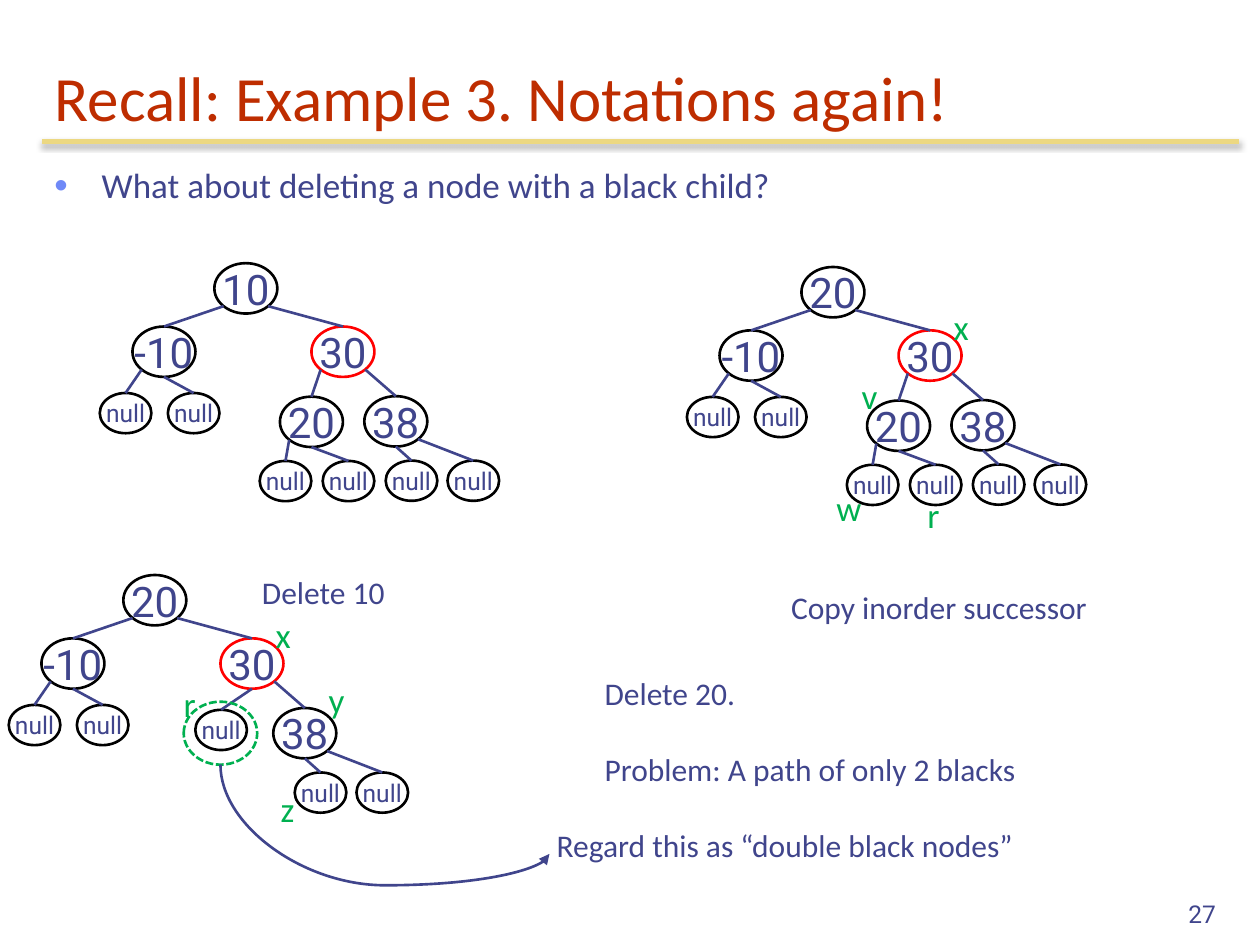
from math import sqrt
from lxml.etree import SubElement as Sub
from pptx import Presentation
from pptx.dml.color import RGBColor
from pptx.enum.dml import MSO_LINE as Dash
from pptx.enum.shapes import MSO_CONNECTOR as Link, MSO_SHAPE as Kind
from pptx.enum.text import MSO_ANCHOR as Anchor, MSO_AUTO_SIZE as Fit, PP_ALIGN as Align
from pptx.oxml.ns import qn
from pptx.util import Pt

INK, GREEN, RED, BLACK = "40458C", "00B050", "FF0000", "000000"
BIG, SMALL = (36, 28.8), (29.5, 23)

LEFT = {
    "low": ("-10", 18.7, 36.2, BLACK),
    "a": ("null", 0, 74.2, BLACK),
    "b": ("null", 38.9, 74.2, BLACK),
}
RIGHT = {
    "high": ("30", 121, 36.2, RED),
    "last": ("38", 151.2, 76, BLACK),
    "e": ("null", 163.4, 112.8, BLACK),
    "f": ("null", 198.7, 112.8, BLACK),
}
FULL = LEFT | RIGHT | {
    "mid": ("20", 103, 76.3, BLACK),
    "c": ("null", 91.4, 113, BLACK),
    "d": ("null", 127.4, 113, BLACK),
}
SHORT = LEFT | RIGHT | {"mid": ("null", 106.6, 77, BLACK)}
EDGES = [
    ("root", "low", -1), ("root", "high", 1),
    ("low", "a", -1), ("low", "b", 0),
    ("high", "mid", -1), ("high", "last", 1),
    ("mid", "c", -1), ("mid", "d", 0),
    ("last", "e", 0), ("last", "f", 1),
]


def paint(text):
    """Turn a hex string into a colour."""
    return RGBColor.from_string(text)


def put(item, **vals):
    """Set attributes from a dict of values."""
    for name, val in vals.items():
        setattr(item, name, val)


def style(font, size, face="Calibri", hue=INK):
    """Format a font."""
    put(font, size=Pt(size), name=face)
    font.color.rgb = paint(hue)


def trace(line, hue, wide=1.5):
    """Format an outline."""
    line.color.rgb = paint(hue)
    line.width = Pt(wide)


def label(shapes, box, lines, size=18, face="Calibri", hue=INK, wrap=False,
          anchor=Anchor.TOP, align=Align.LEFT, gap=0):
    """Place a text box, one paragraph a line, and return its frame."""
    frame = shapes.add_textbox(*map(Pt, box)).text_frame
    put(frame, text="\n".join(lines), word_wrap=wrap, vertical_anchor=anchor,
        auto_size=Fit.NONE if wrap else Fit.SHAPE_TO_FIT_TEXT)
    for num, para in enumerate(frame.paragraphs):
        put(para, alignment=align, space_before=Pt(gap if num else 0))
        for run in para.runs:
            style(run.font, size, face, hue)
    return frame


def oval(shapes, box, hue):
    """Place an unfilled ellipse."""
    ring = shapes.add_shape(Kind.OVAL, *map(Pt, box))
    ring.shadow.inherit = False
    ring.fill.background()
    trace(ring.line, hue)
    return ring


def join(shapes, start, end, hue=INK, wide=1.5, kind=Link.STRAIGHT):
    """Place a connector and return it with its effect list."""
    link = shapes.add_connector(kind, *map(Pt, (*start, *end)))
    trace(link.line, hue, wide)
    return link, Sub(link._element.spPr, qn("a:effectLst"))


def tree(slide, left, top, root, nodes, tags=()):
    """Draw a search tree with its edges and letter tags."""
    shapes = slide.shapes.add_group_shape().shapes
    nodes = {"root": (root, 65.5, 0, BLACK)} | nodes
    boxes = {}
    for key, (text, x, y, hue) in nodes.items():
        leaf = text == "null"
        boxes[key] = (left + x, top + y, *(SMALL if leaf else BIG))
        ring = oval(shapes, boxes[key], hue)
        put(ring.text_frame, text=text, word_wrap=False, vertical_anchor=Anchor.MIDDLE)
        para = ring.text_frame.paragraphs[0]
        para.alignment = Align.CENTER
        style(para.runs[0].font, 14 if leaf else 24, "Roboto")
    for head, child, side in EDGES:
        if child not in boxes:
            continue
        if nodes[head][0] == "null":
            continue
        side = 0 if nodes[child][0] == "null" and child == "mid" else side
        x, y, wide, high = boxes[head]
        drop = 1 / sqrt(2) if side else 1
        start = (x + wide / 2 * (1 + side * drop), y + high / 2 * (1 + drop))
        x, y, wide, high = boxes[child]
        join(shapes, start, (x + wide / 2, y))
    for text, x, y in tags:
        label(shapes, (left + x, top + y, 23, 31.5), [text], 20, hue=GREEN)


def header(slide, left, top, wide, high):
    """Fill the title and draw the shaded rule below it."""
    title = slide.shapes.title
    put(title, left=Pt(left), top=Pt(top), width=Pt(wide), height=Pt(high))
    put(title.text_frame, text="Recall: Example 3. Notations again!",
        vertical_anchor=Anchor.BOTTOM, word_wrap=True, auto_size=Fit.NONE)
    para = title.text_frame.paragraphs[0]
    para.alignment = Align.LEFT
    style(para.runs[0].font, 36, hue="BE2D00")
    base = top + high + 0.7
    rule, fx = join(slide.shapes, (left, base), (left + wide, base), "ECD882", 3)
    shade = Sub(fx, qn("a:outerShdw"), blurRad=str(Pt(3.1)), dist=str(Pt(1.8)),
                dir="5400000", rotWithShape="0")
    tone = Sub(shade, qn("a:srgbClr"), val=BLACK)
    Sub(tone, qn("a:alpha"), val="35000")


def bullet(slide, box, text):
    """Place the bulleted question."""
    para = label(slide.shapes, box, [text], 20, wrap=True).paragraphs[0]
    para.space_before = Pt(4)
    props = para._p.get_or_add_pPr()
    put_xml = {"marL": str(Pt(27)), "indent": str(-Pt(27))}
    for name, val in put_xml.items():
        props.set(name, val)
    Sub(Sub(props, qn("a:buClr")), qn("a:srgbClr"), val="6F89F7")
    Sub(props, qn("a:buSzPct"), val="110000")
    Sub(props, qn("a:buFont"), typeface="Arial")
    Sub(props, qn("a:buChar"), char="•")


def callout(slide, left, top):
    """Ring the double black node and lead a curve to its remark."""
    ring = oval(slide.shapes, (left, top, 42, 36), GREEN)
    ring.line.dash_style = Dash.SQUARE_DOT
    x, y = left + 21, top + 36
    run, drop = 188, 51
    mid, half = x + run / 2, y + drop / 2
    curve, _ = join(slide.shapes, (mid - drop / 2, half - run / 2),
                    (mid + drop / 2, half + run / 2), kind=Link.CURVE)
    curve._element.spPr.xfrm.set("rot", "16200000")
    curve._element.spPr.xfrm.set("flipH", "1")
    guides = curve._element.spPr.find(qn("a:prstGeom")).find(qn("a:avLst"))
    Sub(guides, qn("a:gd"), name="adj1", fmla="val 135100")
    Sub(curve.line._get_or_add_ln(), qn("a:tailEnd"), type="triangle")
    label(slide.shapes, (311, 468.7, 279, 29), ["Regard this as “double black nodes”"])


def main():
    """Build the slide."""
    deck = Presentation()
    put(deck, slide_width=Pt(720), slide_height=Pt(540))
    slide = deck.slides.add_slide(deck.slide_layouts[5])
    header(slide, 24, 24, 684, 56)
    bullet(slide, (24, 90, 684, 408), "What about deleting a node with a black child?")
    label(slide.shapes, (552, 498, 150, 36), ["27"], 14, "Roboto",
          wrap=True, anchor=Anchor.BOTTOM, align=Align.RIGHT)
    label(slide.shapes, (142.6, 324, 86, 29), ["Delete 10"])
    label(slide.shapes, (445, 332.6, 186, 29), ["Copy inorder successor"])
    label(slide.shapes, (338.4, 381.6, 252, 72.7),
          ["Delete 20.", "Problem: A path of only 2 blacks"], gap=22)
    tree(slide, 57, 150.4, "10", FULL)
    tree(slide, 392.5, 152.6, "20", FULL,
         [("x", 145.4, 18.7), ("v", 92.8, 57.6), ("w", 78.4, 121.7), ("r", 130.3, 126)])
    tree(slide, 5, 328.6, "20", SHORT,
         [("x", 145.4, 18.7), ("r", 92.8, 58), ("y", 175.7, 55.4), ("z", 148.3, 118)])
    callout(slide, 105, 401)
    deck.save("out.pptx")


if __name__ == "__main__":
    main()
